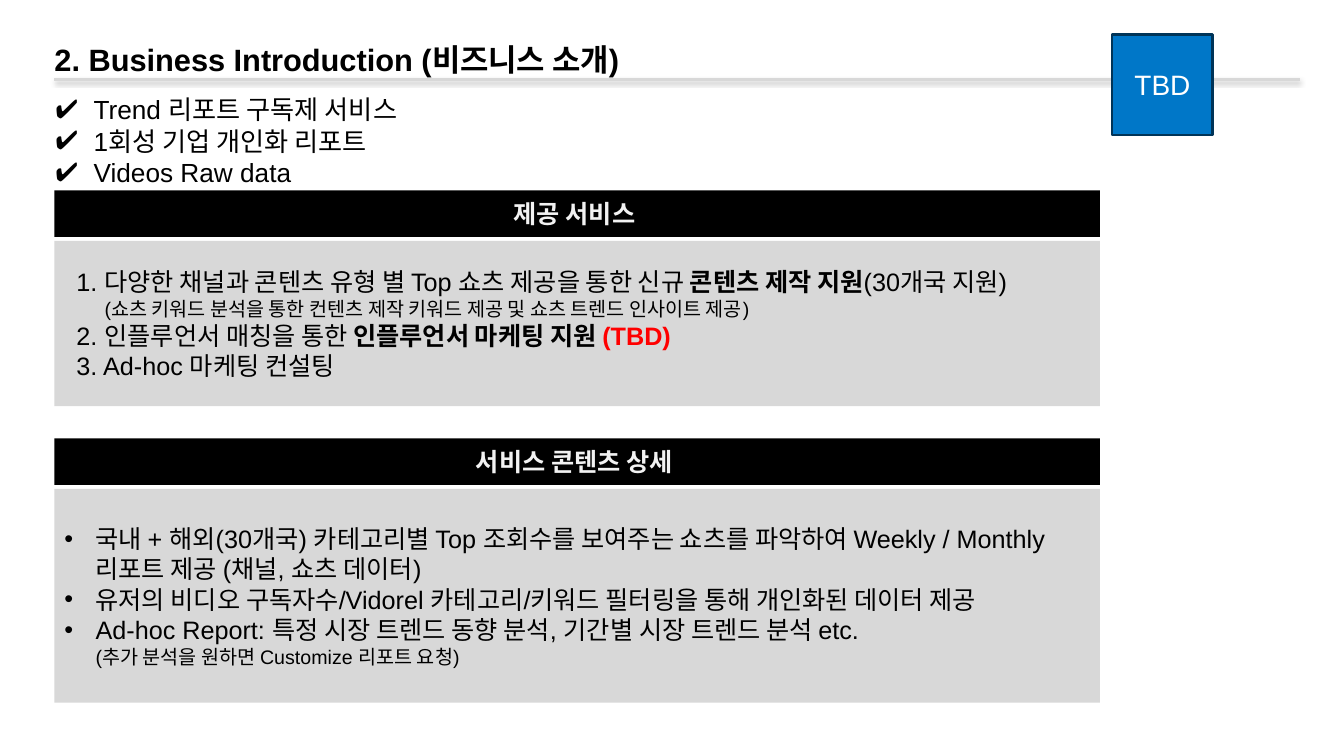
from dataclasses import dataclass

from lxml.etree import SubElement
from pptx import Presentation
from pptx.dml.color import RGBColor
from pptx.enum.shapes import MSO_CONNECTOR, MSO_SHAPE
from pptx.enum.text import MSO_ANCHOR, PP_ALIGN
from pptx.oxml.ns import qn
from pptx.shapes.autoshape import Shape
from pptx.slide import Slide
from pptx.text.text import TextFrame
from pptx.util import Emu, Pt

PX_PER_INCH = 100
SCALE = 914400 // PX_PER_INCH
FONT = "Arial"
BLACK = RGBColor(0x00, 0x00, 0x00)
WHITE = RGBColor(0xFF, 0xFF, 0xFF)
OFF_WHITE = RGBColor(0xF2, 0xF2, 0xF2)
GREY = RGBColor(0xD8, 0xD8, 0xD8)
RED = RGBColor(0xFF, 0x00, 0x00)
BLUE = RGBColor(0x00, 0x77, 0xC8)
NAVY = RGBColor(0x00, 0x34, 0x58)

LEFT = 54
RULE_TOP = 79
RULE_RIGHT = 1289
PANEL_WIDTH = 1037
HEADER_HEIGHT = 46
BODY_OFFSET = 50


@dataclass(frozen=True)
class Span:
    text: str
    size: float = 18
    bold: bool = False
    color: RGBColor = BLACK


@dataclass(frozen=True)
class Line:
    spans: tuple[Span, ...]
    margin: int = 0
    bullet: str = ""
    align: PP_ALIGN = PP_ALIGN.LEFT


@dataclass(frozen=True)
class Panel:
    top: int
    body_height: int
    heading: str
    lines: tuple[Line, ...]


FEATURES = tuple(
    Line((Span(text, 18.7),), 38, "✔")
    for text in ("Trend 리포트 구독제 서비스", "1회성 기업 개인화 리포트", "Videos Raw data")
)

PANELS = (
    Panel(189, 164, "제공 서비스 ", (
        Line((
            Span("1. 다양한 채널과 콘텐츠 유형 별 Top 쇼츠 제공을 통한 신규 "),
            Span("콘텐츠 제작 지원", bold=True),
            Span("(30개국 지원)"),
        ), 12),
        Line((Span("(쇼츠 키워드 분석을 통한 컨텐츠 제작 키워드 제공 및 쇼츠 트렌드 인사이트 제공)", 14),), 40),
        Line((
            Span("2. 인플루언서 매칭을 통한 "),
            Span("인플루언서 마케팅 지원 ", bold=True),
            Span("(TBD)", bold=True, color=RED),
        ), 12),
        Line((Span("3. Ad-hoc 마케팅 컨설팅"),), 12),
    )),
    Panel(435, 212, "서비스 콘텐츠 상세 ", (
        Line((Span("국내 + 해외(30개국) 카테고리별 Top 조회수를 보여주는 쇼츠를 파악하여 "
                   "Weekly / Monthly 리포트 제공 (채널, 쇼츠 데이터)"),), 31, "•"),
        Line((Span("유저의 비디오 구독자수/Vidorel 카테고리/키워드 필터링을 통해 "
                   "개인화된 데이터 제공"),), 31, "•"),
        Line((Span("Ad-hoc Report: 특정 시장 트렌드 동향 분석, 기간별 시장 트렌드 분석 etc."),), 31, "•"),
        Line((Span("(추가 분석을 원하면 Customize 리포트 요청)", 14),), 31),
    )),
)


def px(length: int) -> Emu:
    return Emu(length * SCALE)


def write(frame: TextFrame, lines: tuple[Line, ...], inset_x: int = 10, inset_y: int = 5) -> None:
    frame.word_wrap = True
    frame.margin_left = frame.margin_right = px(inset_x)
    frame.margin_top = frame.margin_bottom = px(inset_y)
    for index, line in enumerate(lines):
        para = frame.paragraphs[0] if index == 0 else frame.add_paragraph()
        para.alignment = line.align
        properties = para._p.get_or_add_pPr()
        properties.set("marL", str(px(line.margin)))
        if line.bullet:
            properties.set("indent", str(-px(line.margin)))
            color = SubElement(properties, qn("a:buClr"))
            SubElement(color, qn("a:srgbClr"), val=str(BLACK))
            SubElement(properties, qn("a:buFont"), typeface=FONT)
            SubElement(properties, qn("a:buChar"), char=line.bullet)
        for span in line.spans:
            run = para.add_run()
            run.text = span.text
            run.font.name = FONT
            run.font.size = Pt(span.size)
            run.font.bold = span.bold
            run.font.color.rgb = span.color


def add_text(page: Slide, left: int, top: int, width: int, height: int) -> TextFrame:
    return page.shapes.add_textbox(px(left), px(top), px(width), px(height)).text_frame


def add_block(page: Slide, left: int, top: int, width: int, height: int, fill: RGBColor) -> Shape:
    block = page.shapes.add_shape(MSO_SHAPE.RECTANGLE, px(left), px(top), px(width), px(height))
    block.shadow.inherit = False
    block.fill.solid()
    block.fill.fore_color.rgb = fill
    block.line.fill.background()
    block.text_frame.vertical_anchor = MSO_ANCHOR.MIDDLE
    return block


def add_rule(page: Slide) -> None:
    rule = page.shapes.add_connector(
        MSO_CONNECTOR.STRAIGHT, px(LEFT), px(RULE_TOP), px(RULE_RIGHT), px(RULE_TOP))
    rule.line.color.rgb = GREY
    rule.line.width = Pt(2)
    effects = SubElement(rule._element.spPr, qn("a:effectLst"))
    shadow = SubElement(effects, qn("a:outerShdw"), blurRad=str(Pt(3.1)), dist=str(Pt(1.6)),
                        dir="5400000", rotWithShape="0")
    color = SubElement(shadow, qn("a:srgbClr"), val=str(BLACK))
    SubElement(color, qn("a:alpha"), val="38000")


def add_panel(page: Slide, panel: Panel) -> None:
    body = add_block(page, LEFT, panel.top + BODY_OFFSET, PANEL_WIDTH, panel.body_height, GREY)
    write(body.text_frame, panel.lines)
    header = add_block(page, LEFT, panel.top, PANEL_WIDTH, HEADER_HEIGHT, BLACK)
    heading = Span(panel.heading, bold=True, color=OFF_WHITE)
    write(header.text_frame, (Line((heading,), align=PP_ALIGN.CENTER),), 0, 0)


def main() -> None:
    deck = Presentation()
    deck.slide_width, deck.slide_height = px(1333), px(750)
    page = deck.slides.add_slide(deck.slide_layouts[6])

    write(add_text(page, 45, 88, 1244, 62), FEATURES)
    add_rule(page)

    title = add_text(page, LEFT, 33, RULE_RIGHT - LEFT, 44)
    write(title, (Line((Span("2. Business Introduction (비즈니스 소개)", 22, True),)),), 0, 0)
    title.paragraphs[0].line_spacing = 1.2

    for panel in PANELS:
        add_panel(page, panel)

    badge = add_block(page, 1103, 34, 100, 100, BLUE)
    badge.line.color.rgb = NAVY
    badge.line.width = Pt(2)
    write(badge.text_frame, (Line((Span("TBD", 20, color=WHITE),), align=PP_ALIGN.CENTER),))

    deck.save("out.pptx")


if __name__ == "__main__":
    main()
